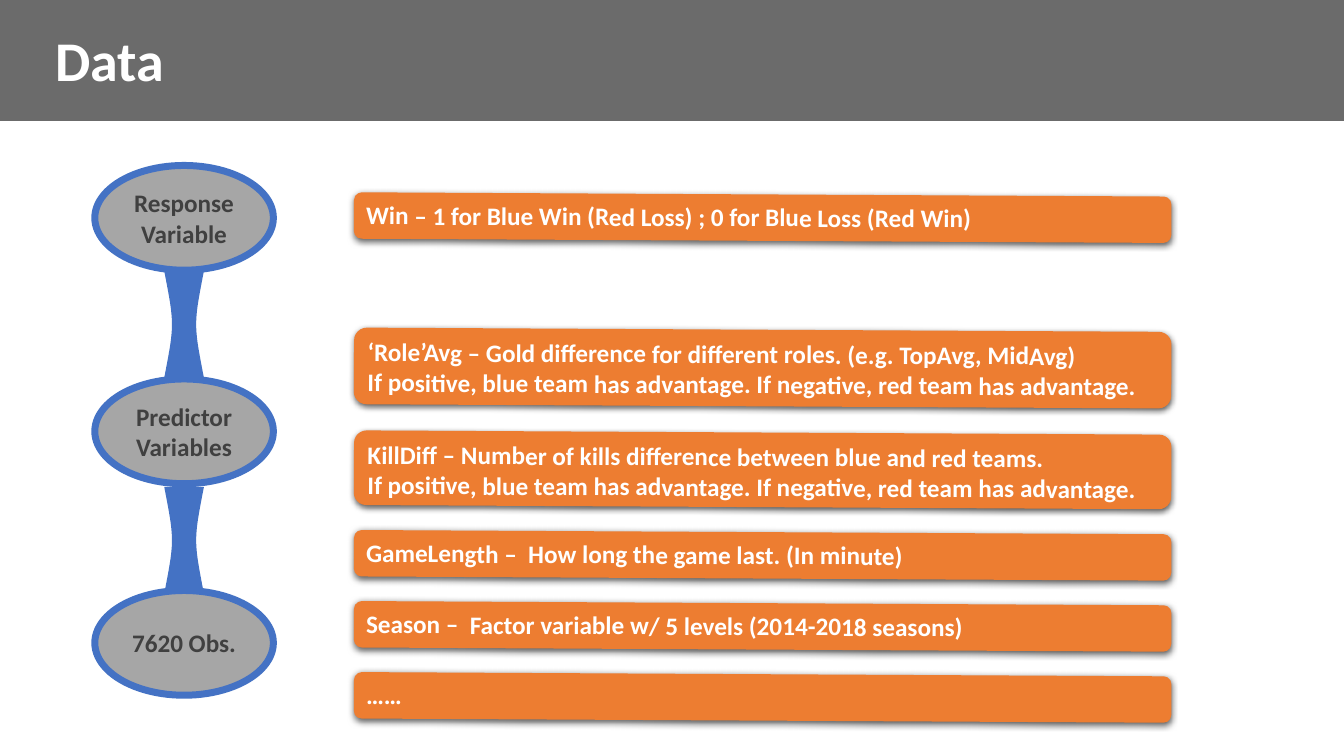
"""Build the Data slide: a chain of ovals beside tilted variable boxes."""
import pptx
import pptx.util
import pptx.dml.color
import pptx.enum.shapes
import pptx.enum.text
import pptx.oxml
import pptx.oxml.ns

Cm = pptx.util.Cm
Pt = pptx.util.Pt
kinds = pptx.enum.shapes.MSO_SHAPE
anchors = pptx.enum.text.MSO_ANCHOR
aligns = pptx.enum.text.PP_ALIGN
qn = pptx.oxml.ns.qn
space = pptx.oxml.ns.nsdecls("a")
colors = {"head": "383838", "white": "FFFFFF", "gray": "A6A6A6",
          "blue": "4472C4", "dark": "404040", "orange": "ED7D31"}


def paint(shape, fill):
    shape.shadow.inherit = False
    shape.fill.solid()
    shape.fill.fore_color.rgb = pptx.dml.color.RGBColor.from_string(colors[fill])
    shape.line.fill.background()


def write(shape, lines, size, color, align, anchor):
    frame = shape.text_frame
    frame.word_wrap = True
    frame.vertical_anchor = anchor
    for index, line in enumerate(lines):
        para = frame.add_paragraph() if index else frame.paragraphs[0]
        para.alignment = align
        run = para.add_run()
        run.text = line
        run.font.name = "Calibri"
        run.font.size = Pt(size)
        run.font.bold = True
        run.font.color.rgb = pptx.dml.color.RGBColor.from_string(colors[color])


deck = pptx.Presentation()
deck.slide_width, deck.slide_height = Cm(33.87), Cm(19.05)
shapes = deck.slides.add_slide(deck.slide_layouts[6]).shapes

band = shapes.add_shape(kinds.RECTANGLE, 0, 0, deck.slide_width, Cm(3.05))
paint(band, "head")
tint = band.fill._xPr.find(qn("a:solidFill")).find(qn("a:srgbClr"))
tint.append(pptx.oxml.parse_xml(f'<a:alpha {space} val="74000"/>'))
title = shapes.add_textbox(Cm(1.14), Cm(0.53), Cm(11.48), Cm(1.96))
write(title, ["Data"], 40, "white", aligns.LEFT, anchors.TOP)

stages = [(4.17, "Response Variable"), (9.55, "Predictor Variables"),
          (14.88, "7620 Obs.")]
for top, label in stages:
    oval = shapes.add_shape(kinds.OVAL, Cm(2.39), Cm(top), Cm(4.5), Cm(2.64))
    paint(oval, "gray")
    oval.line.color.rgb = pptx.dml.color.RGBColor.from_string(colors["blue"])
    oval.line.width = Pt(5)
    write(oval, [label], 18, "dark", aligns.CENTER, anchors.MIDDLE)

mid, tall, steps = 4.64, 2.69, 24
for top in (6.83, 12.27):
    right, left = [], []
    for step in range(steps + 1):
        t = step / steps
        half = 0.5 * ((1 - t) ** 3 + t ** 3) + 0.72 * t * (1 - t)
        y = Cm(top + tall * (1.5 * t * (1 - t) + t ** 3))
        right.append((Cm(mid + half), y))
        left.append((Cm(mid - half), y))
    outline = right + left[::-1]
    pen = shapes.build_freeform(*outline[0], scale=1.0)
    pen.add_line_segments(outline[1:], close=True)
    paint(pen.convert_to_shape(), "blue")

edge = "If positive, blue team has advantage. If negative, red team has advantage."
boxes = [
    (4.9, 1.17, ["Win – 1 for Blue Win (Red Loss) ; 0 for Blue Loss (Red Win)"]),
    (8.31, 1.93, ["‘Role’Avg – Gold difference for different roles. (e.g. TopAvg, MidAvg)", edge]),
    (10.9, 1.88, ["KillDiff – Number of kills difference between blue and red teams.", edge]),
    (13.41, 1.17, ["GameLength –  How long the game last. (In minute)"]),
    (15.2, 1.17, ["Season –  Factor variable w/ 5 levels (2014-2018 seasons)"]),
    (16.99, 1.17, ["……"]),
]
for top, height, lines in boxes:
    box = shapes.add_shape(kinds.ROUNDED_RECTANGLE, Cm(8.92), Cm(top), Cm(20.6), Cm(height))
    paint(box, "orange")
    box.rotation = 0.3
    box.fill._xPr.find(qn("a:effectLst")).append(pptx.oxml.parse_xml(
        f'<a:outerShdw {space} blurRad="{Pt(4.5)}" dist="{Pt(1.5)}" dir="5400000" '
        'algn="ctr" rotWithShape="0"><a:srgbClr val="000000">'
        '<a:alpha val="63000"/></a:srgbClr></a:outerShdw>'))
    write(box, lines, 18, "white", aligns.LEFT, anchors.TOP)

deck.save("out.pptx")
